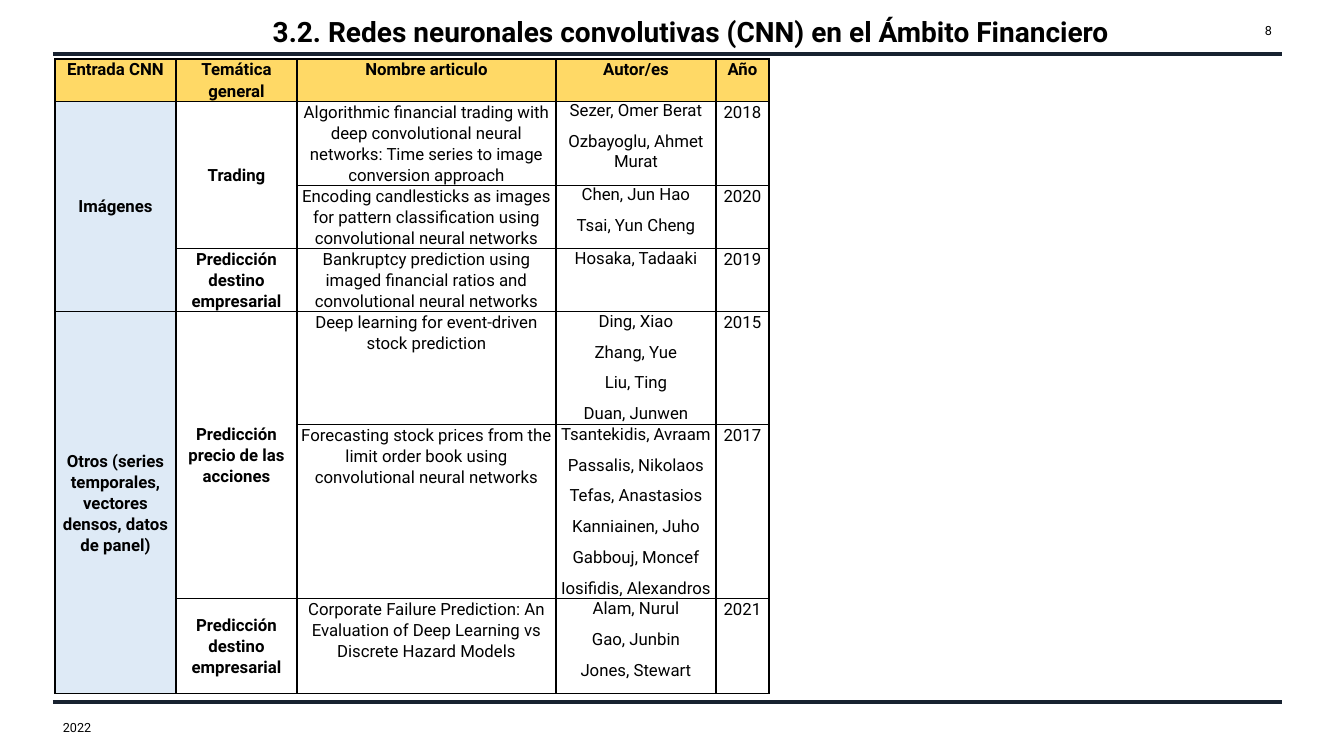
import pptx
import pptx.util
import pptx.dml.color
import pptx.enum.shapes
import pptx.enum.text
import pptx.oxml
import pptx.oxml.ns
import lxml.etree

PX = 12192000 / 1344
FONT = "Roboto"
COLORS = {"text": "000000", "rule": "182230", "header": "FFD966", "input": "DEEAF6"}
ALIGN = pptx.enum.text.PP_ALIGN
ANCHOR = pptx.enum.text.MSO_ANCHOR


def px(n):
    return pptx.util.Emu(round(n * PX))


def add_text(p, text, size, bold, align):
    p.alignment = align
    r = p.add_run()
    r.text = text
    r.font.name = FONT
    r.font.size = pptx.util.Pt(size)
    r.font.bold = bold
    r.font.color.rgb = pptx.dml.color.RGBColor.from_string(COLORS["text"])


prs = pptx.Presentation()
prs.slide_width = px(1344)
prs.slide_height = px(756)
s = prs.slides.add_slide(prs.slide_layouts[5])

for y in (54, 702):
    line = s.shapes.add_connector(pptx.enum.shapes.MSO_CONNECTOR.STRAIGHT, px(53), px(y), px(1282), px(y))
    line.line.color.rgb = pptx.dml.color.RGBColor.from_string(COLORS["rule"])
    line.line.width = pptx.util.Pt(2.25)
    lxml.etree.SubElement(line._element.spPr, pptx.oxml.ns.qn("a:effectLst"))

title = s.shapes.title
title.left, title.top, title.width, title.height = px(250), px(10), px(882), px(70)
tf = title.text_frame
tf.auto_size = pptx.enum.text.MSO_AUTO_SIZE.NONE
tf.vertical_anchor = ANCHOR.TOP
tf.margin_top = px(4)
add_text(tf.paragraphs[0], "3.2. Redes neuronales convolutivas (CNN) en el Ámbito Financiero", 20, True, ALIGN.CENTER)

rows = [
    ("Entrada CNN", "Temática general", "Nombre articulo", ["Autor/es"], "Año"),
    ("Imágenes", "Trading",
     "Algorithmic financial trading with deep convolutional neural networks: Time series to image conversion approach",
     ["Sezer, Omer Berat", "Ozbayoglu, Ahmet Murat"], "2018"),
    (None, None,
     "Encoding candlesticks as images for pattern classification using convolutional neural networks",
     ["Chen, Jun Hao", "Tsai, Yun Cheng"], "2020"),
    (None, "Predicción destino empresarial",
     "Bankruptcy prediction using imaged financial ratios and convolutional neural networks",
     ["Hosaka, Tadaaki"], "2019"),
    ("Otros (series temporales, vectores densos, datos de panel)", "Predicción precio de las acciones",
     "Deep learning for event-driven stock prediction",
     ["Ding, Xiao", "Zhang, Yue", "Liu, Ting", "Duan, Junwen"], "2015"),
    (None, None,
     "Forecasting stock prices from the limit order book using convolutional neural networks",
     ["Tsantekidis, Avraam", "Passalis, Nikolaos", "Tefas, Anastasios",
      "Kanniainen, Juho", "Gabbouj, Moncef", "Iosifidis, Alexandros"], "2017"),
    (None, "Predicción destino empresarial",
     "Corporate Failure Prediction: An Evaluation of Deep Learning vs Discrete Hazard Models",
     ["Alam, Nurul", "Gao, Junbin", "Jones, Stewart"], "2021"),
]
col_widths = [121, 121, 259, 160, 53]
row_heights = [42, 84, 63, 63, 113, 174, 95]

table = s.shapes.add_table(len(rows), len(col_widths), px(55), px(59),
                           px(sum(col_widths)), px(sum(row_heights))).table
table.first_row = False
table.horz_banding = False
for col, width in zip(table.columns, col_widths):
    col.width = px(width)
for row, height in zip(table.rows, row_heights):
    row.height = px(height)
for first, last, c in [(1, 3, 0), (1, 2, 1), (4, 6, 0), (4, 5, 1)]:
    table.cell(first, c).merge(table.cell(last, c))

for i, row in enumerate(rows):
    for j, content in enumerate(row):
        cell = table.cell(i, j)
        cell.margin_left = cell.margin_right = px(2)
        cell.margin_top = cell.margin_bottom = 0
        cell.vertical_anchor = ANCHOR.MIDDLE if i > 0 and j < 2 else ANCHOR.TOP
        tcPr = cell._tc.get_or_add_tcPr()
        for side in ("lnL", "lnR", "lnT", "lnB"):
            tcPr.append(pptx.oxml.parse_xml(
                f'<a:{side} {pptx.oxml.ns.nsdecls("a")} w="12700"><a:solidFill>'
                f'<a:srgbClr val="{COLORS["text"]}"/></a:solidFill></a:{side}>'))
        fill = "header" if i == 0 else "input" if j == 0 else None
        if fill:
            cell.fill.solid()
            cell.fill.fore_color.rgb = pptx.dml.color.RGBColor.from_string(COLORS[fill])
        else:
            cell.fill.background()
        if content is None:
            continue
        tf = cell.text_frame
        for k, text in enumerate(content if j == 3 else [content]):
            p = tf.add_paragraph() if k else tf.paragraphs[0]
            p.line_spacing = 1.0 if i > 0 and j == 3 else 1.07
            p.space_after = pptx.util.Pt(8)
            add_text(p, text, 12, i == 0 or j < 2, ALIGN.CENTER)

for text, x, y, width, align in [("2022", 53, 708, 454, ALIGN.LEFT), ("8", 1212, 11, 70, ALIGN.RIGHT)]:
    tf = s.shapes.add_textbox(px(x), px(y), px(width), px(40)).text_frame
    tf.word_wrap = True
    tf.vertical_anchor = ANCHOR.MIDDLE
    add_text(tf.paragraphs[0], text, 9, False, align)

prs.save("out.pptx")
